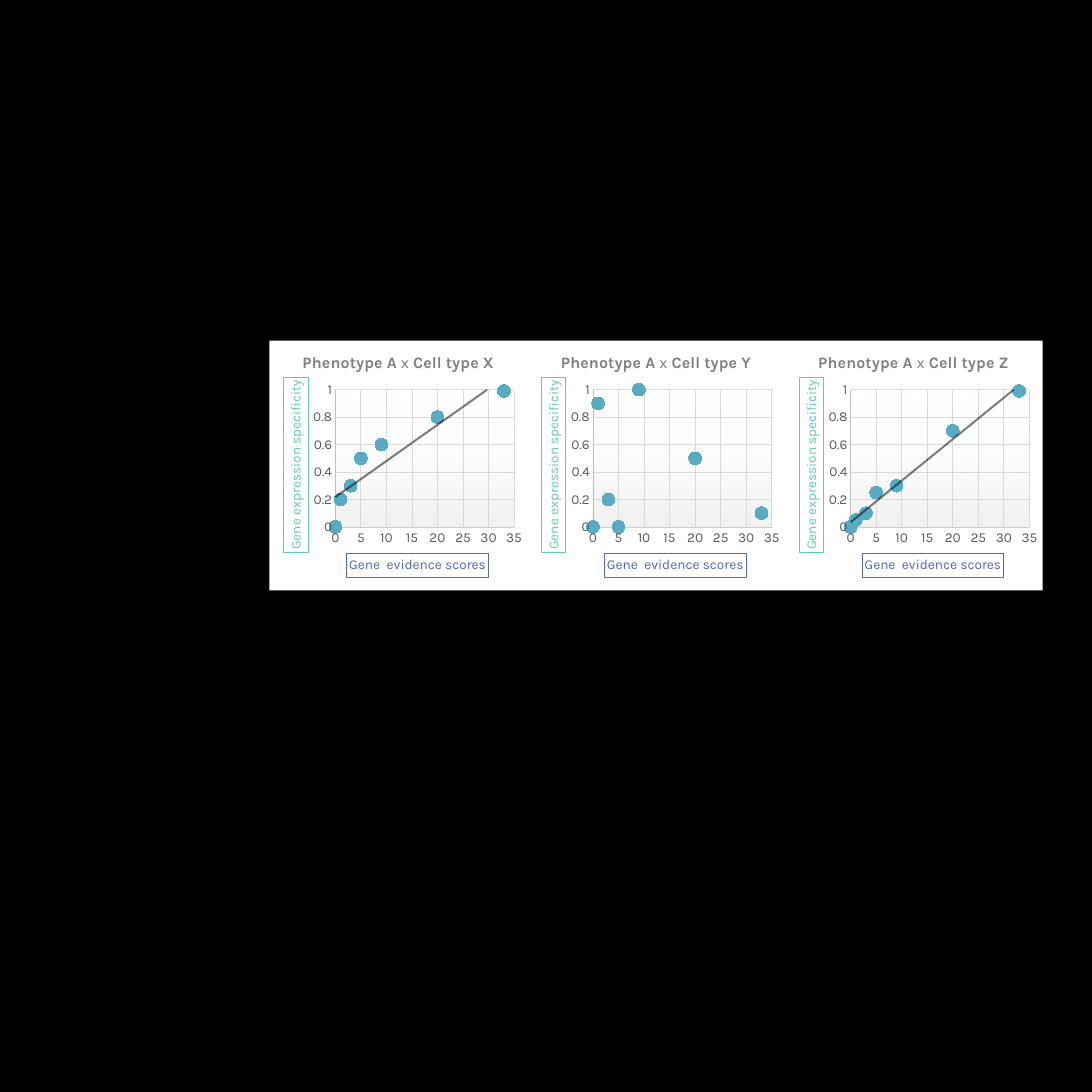
from lxml.etree import fromstring
from pptx import Presentation
from pptx.chart.data import XyChartData
from pptx.dml.color import RGBColor
from pptx.enum.chart import XL_CHART_TYPE as Kind, XL_MARKER_STYLE as Mark, XL_TICK_MARK as Tick
from pptx.oxml.ns import nsdecls, qn
from pptx.util import Pt

NS = nsdecls("c", "a")


def color(text):
    return RGBColor.from_string(text)


def write(frame, text, size=12, shade="7F7F7F", bold=False):
    """Add one run to the first paragraph."""
    run = frame.paragraphs[0].add_run()
    run.text = text
    font = run.font
    font.name, font.size, font.bold = "Karla", Pt(size), bold
    font.color.rgb = color(shade)


WIDE, HIGH = 226.8, 219.6
LEFT, TOP, STEP = 236.8, 299.6, 226.5
DOSES = [0, 1, 3, 5, 9, 20, 33]
CELLS = [
    ("X", [0, 0.2, 0.3, 0.5, 0.6, 0.8, 0.99], True),
    ("Y", [0, 0.9, 0.2, 0, 1, 0.5, 0.1], False),
    ("Z", [0, 0.05, 0.1, 0.25, 0.3, 0.7, 0.99], True),
]
WHITE = f'''<c:spPr {NS}><a:solidFill><a:srgbClr val="FFFFFF"/></a:solidFill>
<a:ln><a:noFill/></a:ln></c:spPr>'''
FADE = f'''<c:spPr {NS}><a:gradFill><a:gsLst>
<a:gs pos="0"><a:srgbClr val="FFFFFF"><a:alpha val="0"/></a:srgbClr></a:gs>
<a:gs pos="100000"><a:srgbClr val="F2F2F2"/></a:gs>
</a:gsLst><a:lin ang="5400000" scaled="0"/></a:gradFill><a:ln><a:noFill/></a:ln></c:spPr>'''
TREND = f'''<c:trendline {NS}><c:spPr><a:ln w="22225"><a:solidFill>
<a:srgbClr val="000000"><a:alpha val="51000"/></a:srgbClr></a:solidFill>
<a:prstDash val="solid"/></a:ln></c:spPr><c:trendlineType val="linear"/>
<c:dispRSqr val="0"/><c:dispEq val="0"/></c:trendline>'''

deck = Presentation()
deck.slide_width, deck.slide_height = Pt(960), Pt(960.12)
slide = deck.slides.add_slide(deck.slide_layouts[6])
back = slide.background.fill
back.solid()
back.fore_color.rgb = color("000000")

for col, (cell, scores, trend) in enumerate(CELLS):
    data = XyChartData()
    points = data.add_series("Series 1")
    for dose, score in zip(DOSES, scores):
        points.add_data_point(dose, score)
    chart = slide.shapes.add_chart(
        Kind.XY_SCATTER, Pt(LEFT + col * STEP), Pt(TOP), Pt(WIDE), Pt(HIGH), data
    ).chart
    chart.has_legend = False
    chart.font.name, chart.font.size = "Karla", Pt(10)
    chart.font.color.rgb = color("FFFFFF")

    chart.has_title = True
    head = chart.chart_title.text_frame
    write(head, "Phenotype A", 14, bold=True)
    write(head, " x ", 14)
    write(head, f"Cell type {cell}", 14, bold=True)
    chart.chart_title.include_in_layout = False

    series = chart.plots[0].series[0]
    series.format.line.fill.background()
    dot = series.marker
    dot.style, dot.size = Mark.CIRCLE, 11
    dot.format.fill.solid()
    dot.format.fill.fore_color.rgb = color("59AAC3")
    dot.format.line.fill.background()
    if trend:
        series._element.find(qn("c:xVal")).addprevious(fromstring(TREND))

    across, upward = chart.category_axis, chart.value_axis
    upward.maximum_scale = 1
    for axis, label, shade, edge in [
        (across, "Gene  evidence scores", "4E67C8", "CCCCCC"),
        (upward, "Gene expression specificity", "5DCEAF", "BFBFBF"),
    ]:
        axis.has_major_gridlines = True
        axis.major_tick_mark = axis.minor_tick_mark = Tick.NONE
        font = axis.tick_labels.font
        font.name, font.size = "Karla", Pt(12)
        font.color.rgb = color("595959")
        write(axis.axis_title.text_frame, label, shade=shade)
        for line, tint in [
            (axis.format.line, edge),
            (axis.major_gridlines.format.line, "D9D9D9"),
            (axis.axis_title.format.line, shade),
        ]:
            line.width = Pt(0.75)
            line.color.rgb = color(tint)
    turn = upward.axis_title.text_frame._txBody.bodyPr
    turn.set("rot", "-5400000")
    turn.set("vert", "horz")

    plot = chart._chartSpace.chart.plotArea
    plot.append(fromstring(FADE))
    chart._chartSpace.chart.addnext(fromstring(WHITE))
    # Layout is the first child of a plot area and follows the text of a title.
    for node, spot, inner, box in [
        (plot, 0, '<c:layoutTarget val="inner"/>', {"x": 0.256, "y": 0.196, "w": 0.693, "h": 0.55}),
        (across.axis_title._element, 1, "", {"x": 0.3, "y": 0.85}),
        (upward.axis_title._element, 1, "", {"x": 0.056, "y": 0.146}),
    ]:
        for old in node.findall(qn("c:layout")):
            node.remove(old)
        modes = "".join(f'<c:{key}Mode val="edge"/>' for key in "xy")
        sizes = "".join(f'<c:{key} val="{val}"/>' for key, val in box.items())
        node.insert(spot, fromstring(
            f"<c:layout {NS}><c:manualLayout>{inner}{modes}{sizes}</c:manualLayout></c:layout>"
        ))

deck.save("out.pptx")
